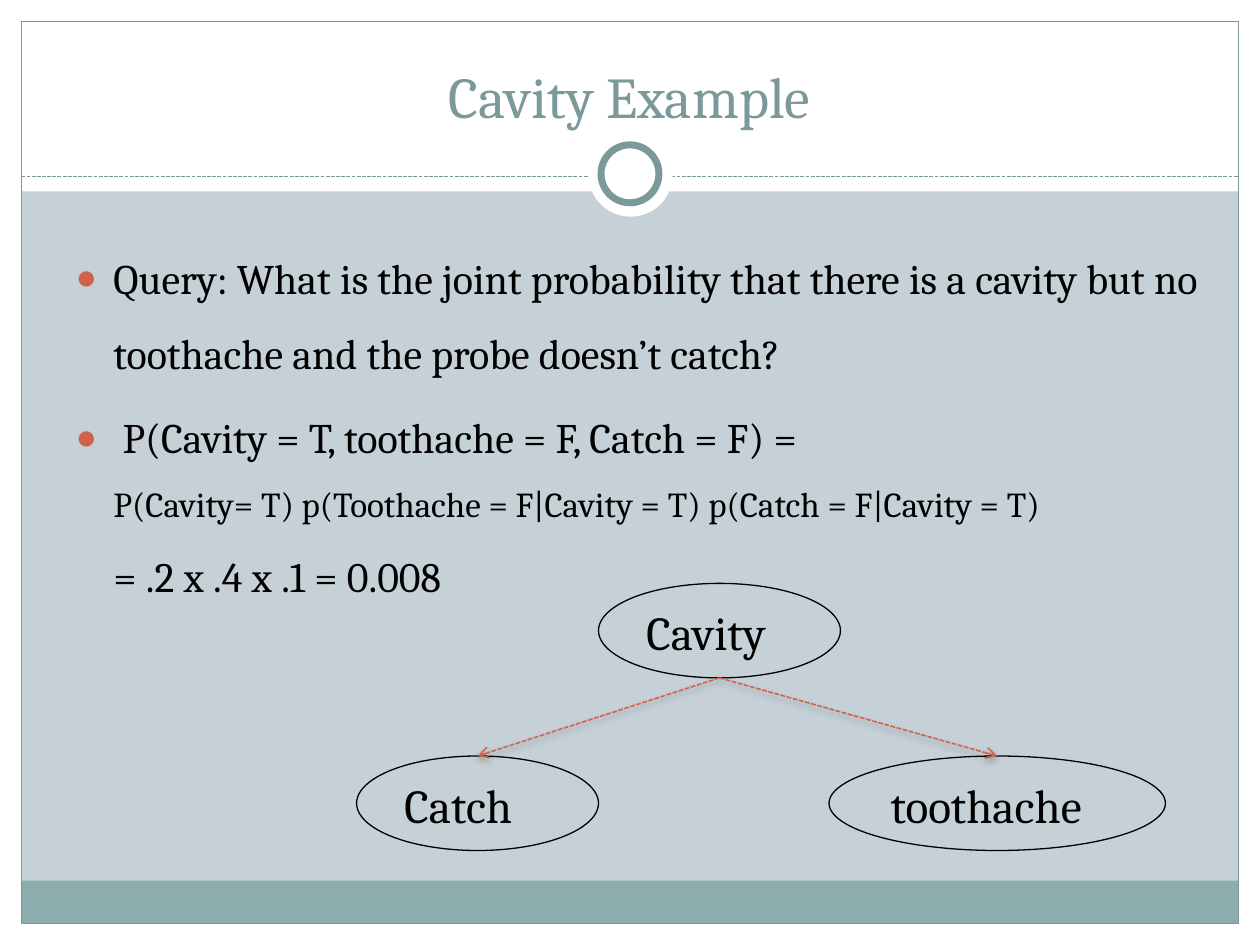
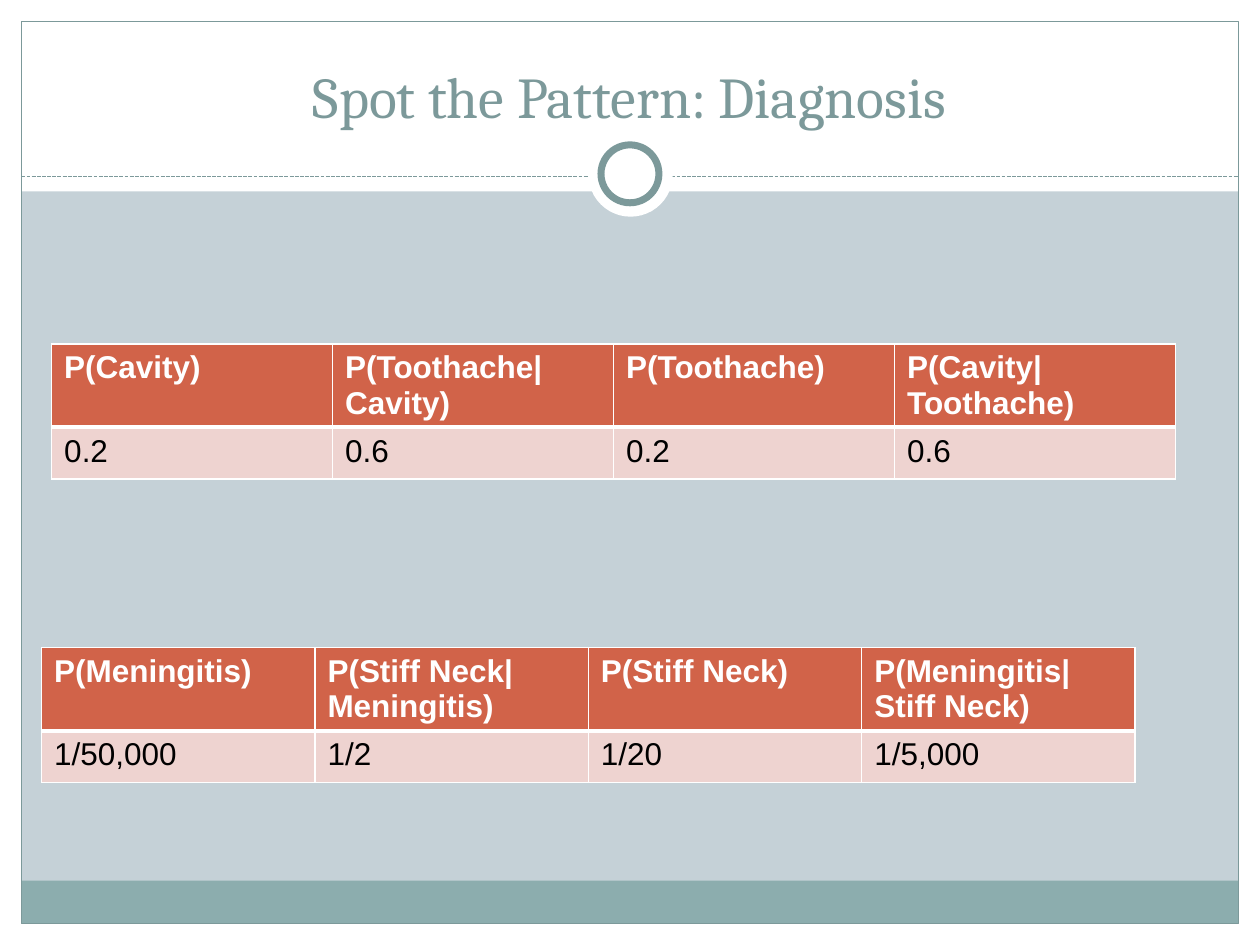
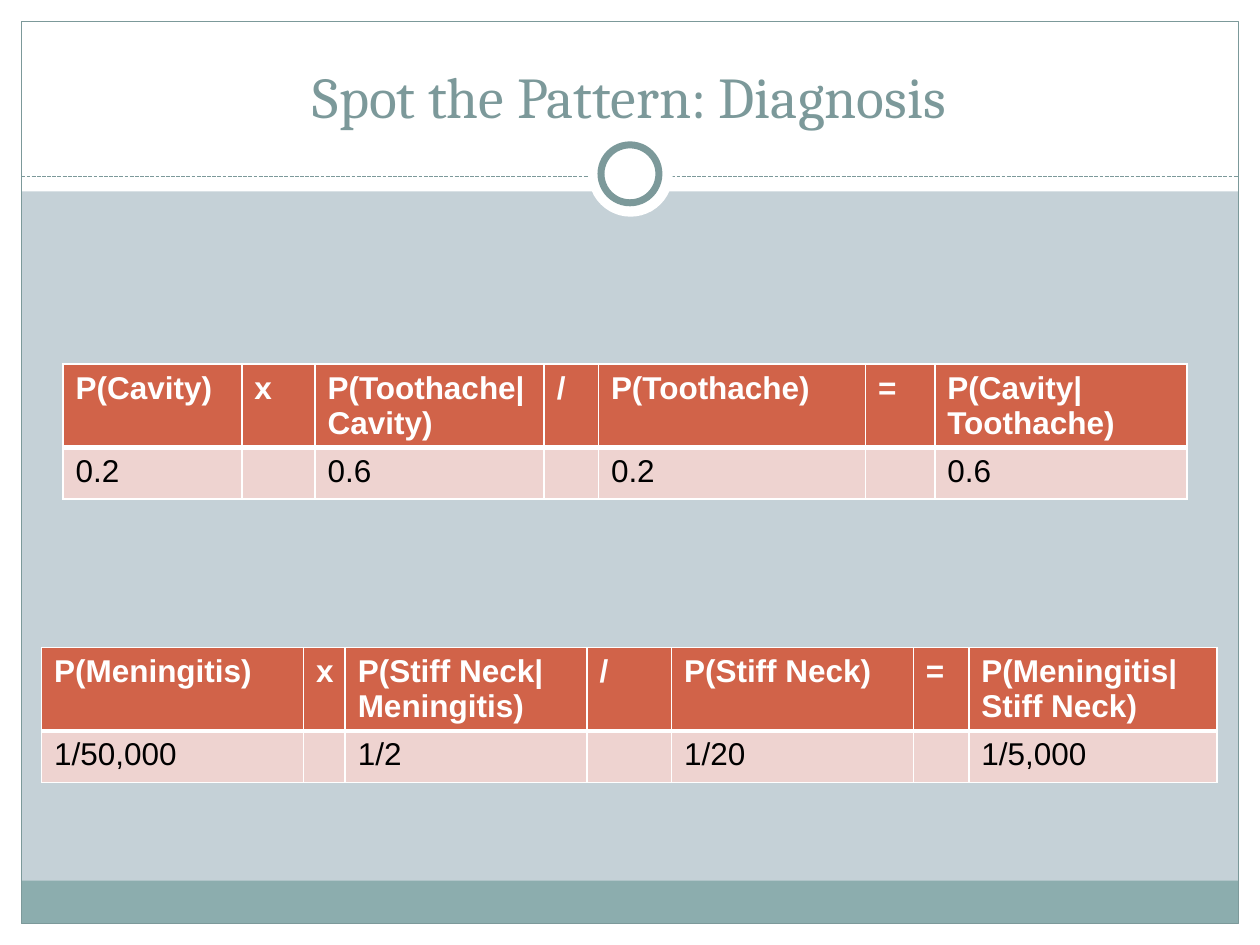
from copy import deepcopy
from dataclasses import dataclass

from lxml.etree import SubElement
from pptx import Presentation
from pptx.dml.color import RGBColor
from pptx.enum.dml import MSO_LINE
from pptx.enum.shapes import MSO_CONNECTOR, MSO_SHAPE
from pptx.enum.text import MSO_ANCHOR, MSO_AUTO_SIZE, PP_ALIGN
from pptx.oxml.ns import qn
from pptx.util import Inches, Pt


@dataclass(frozen=True)
class Theme:
    paper: str = "FFFFFF"
    ground: str = "C5D1D7"
    band: str = "8CADAE"
    teal: str = "7C999A"
    accent: str = "D16349"
    pale: str = "EED3D0"
    ink: str = "000000"
    serif: str = "Cambria"
    sans: str = "Arial"
    title: int = 33
    node: int = 27
    body: int = 24
    formula: int = 20
    cell: int = 18


theme = Theme()
WIDTH, HEIGHT = 10, 7.5
MARGIN = 0.17
INNER_W, INNER_H = WIDTH - 2 * MARGIN, HEIGHT - 2 * MARGIN


def write(paragraph, text, size, color=theme.ink, font=theme.serif, bold=False, align=PP_ALIGN.LEFT):
    run = paragraph.add_run()
    run.text = text
    run.font.size, run.font.name, run.font.bold = Pt(size), font, bold
    run.font.color.rgb = RGBColor.from_string(color)
    paragraph.alignment = align
    return run


def dashed_line(shapes, start, end, color, weight):
    """Draw a dashed connector and return it with its empty effect list."""
    line = shapes.add_connector(MSO_CONNECTOR.STRAIGHT, *map(Inches, (*start, *end)))
    line.line.color.rgb = RGBColor.from_string(color)
    line.line.width = Pt(weight)
    line.line.dash_style = MSO_LINE.SQUARE_DOT
    return line, SubElement(line.element.spPr, qn("a:effectLst"))


prs = Presentation()
prs.slide_width, prs.slide_height = Inches(WIDTH), Inches(HEIGHT)
master = prs.slide_master
master.background.fill.solid()
master.background.fill.fore_color.rgb = RGBColor.from_string(theme.ground)

# Title and body places, set on the master
for holder, place in zip(master.placeholders, [(0.33, 0.25, 9.33, 0.83), (0.5, 1.75, 9.25, 4.58)]):
    holder.left, holder.top, holder.width, holder.height = map(Inches, place)
    holder.text_frame.auto_size = MSO_AUTO_SIZE.NONE
title_holder, body_holder = list(master.placeholders)[:2]
title_holder.text_frame.vertical_anchor = MSO_ANCHOR.BOTTOM
body_holder.text_frame.vertical_anchor = MSO_ANCHOR.TOP

content_layout, title_layout = prs.slide_layouts[1], prs.slide_layouts[5]
slides = []
for heading, layout in [
    ("Cavity Example", content_layout),
    ("Spot the Pattern: Diagnosis", title_layout),
    ("Spot the Pattern: Diagnosis", title_layout),
]:
    slide = prs.slides.add_slide(layout)
    write(slide.shapes.title.text_frame.paragraphs[0], heading, theme.title, theme.teal, align=PP_ALIGN.CENTER)
    slides.append(slide)
cavity_slide, pattern_slide, formula_slide = slides

# Frame: drawn once, then moved to the master
RECT, OVAL = MSO_SHAPE.RECTANGLE, MSO_SHAPE.OVAL
frame = []
for outline, place, fill, weight in [
    (RECT, (0, HEIGHT - MARGIN, WIDTH, MARGIN), theme.paper, 0),
    (RECT, (0, 0, WIDTH, 1.52), theme.paper, 0),
    (RECT, (0, 0, MARGIN, HEIGHT), theme.paper, 0),
    (RECT, (WIDTH - MARGIN, 0, MARGIN, HEIGHT), theme.paper, 0),
    (RECT, (MARGIN, 6.99, INNER_W, 0.34), theme.band, 0),
    (RECT, (MARGIN, MARGIN, INNER_W, INNER_H), None, 0.75),
    (OVAL, (4.67, 1.05, 0.67, 0.67), theme.paper, 0),
    (OVAL, (4.77, 1.15, 0.46, 0.46), theme.paper, 4),
]:
    part = cavity_slide.shapes.add_shape(outline, *map(Inches, place))
    part.shadow.inherit = False
    if fill:
        part.fill.solid()
        part.fill.fore_color.rgb = RGBColor.from_string(fill)
    else:
        part.fill.background()
    if weight:
        part.line.color.rgb = RGBColor.from_string(theme.teal)
        part.line.width = Pt(weight)
    else:
        part.line.fill.background()
    frame.append(part)
header_rule, _ = dashed_line(cavity_slide.shapes, (MARGIN, 1.4), (WIDTH - MARGIN, 1.4), theme.teal, 0.75)
frame.insert(6, header_rule)
for number, part in enumerate(frame, 20):
    next(part.element.iter(qn("p:cNvPr"))).set("id", str(number))
    master.shapes.element.append(part.element)

# Cavity example: query and answer
query = [
    [("Query: What is the joint probability that there is a cavity but no toothache "
      "and the probe doesn’t catch?", theme.body)],
    [(" P(Cavity = T, toothache = F, Catch = F) = ", theme.body),
     ("P(Cavity= T) p(Toothache = F|Cavity = T) p(Catch = F|Cavity = T) ", theme.formula),
     ("= .2 x .4 x .1 = 0.008", theme.body)],
]
body = cavity_slide.placeholders[1].text_frame
for index, lines in enumerate(query):
    item = body.add_paragraph() if index else body.paragraphs[0]
    item.line_spacing = 1.5
    props = item._p.get_or_add_pPr()
    props.set("marL", str(Inches(0.3)))
    props.set("indent", str(Inches(-0.3)))
    SubElement(SubElement(props, qn("a:buClr")), qn("a:srgbClr"), val=theme.accent)
    SubElement(props, qn("a:buSzPct"), val="85000")
    SubElement(props, qn("a:buFont"), typeface=theme.sans)
    SubElement(props, qn("a:buChar"), char="●")
    for position, (text, size) in enumerate(lines, 1):
        run = write(item, text, size)
        if position < len(lines):
            item._p.add_br().append(deepcopy(run._r.get_or_add_rPr()))

# Cavity example: network
NODE_H = 0.75
nodes = {"Cavity": (4.75, 4.63, 1.92), "Catch": (2.83, 6, 1.92), "toothache": (6.58, 6, 2.67)}
for label, (left, top, width) in nodes.items():
    node = cavity_slide.shapes.add_shape(OVAL, *map(Inches, (left, top, width, NODE_H)))
    node.shadow.inherit = False
    node.fill.background()
    node.line.color.rgb = RGBColor.from_string(theme.ink)
    node.line.width = Pt(0.75)
    node.text_frame.vertical_anchor = MSO_ANCHOR.TOP
    write(node.text_frame.paragraphs[0], label, theme.node)

cause_left, cause_top, cause_width = nodes["Cavity"]
for effect in ("Catch", "toothache"):
    left, top, width = nodes[effect]
    arrow, effects = dashed_line(
        cavity_slide.shapes, (cause_left + cause_width / 2, cause_top + NODE_H),
        (left + width / 2, top), theme.accent, 0.9)
    SubElement(arrow.line._get_or_add_ln(), qn("a:tailEnd"), type="arrow")
    shadow = SubElement(effects, qn("a:outerShdw"), blurRad=str(Pt(4)), dist=str(Pt(2)),
                        dir="5400000", rotWithShape="0")
    shade = SubElement(shadow, qn("a:srgbClr"), val=theme.ink)
    SubElement(shade, qn("a:alpha"), val="35000")

# Probability tables, without and with the operators of Bayes' rule
cavity = [("P(Cavity)", "P(Toothache|Cavity)", "P(Toothache)", "P(Cavity|Toothache)"),
          ("0.2", "0.6", "0.2", "0.6")]
meningitis = [("P(Meningitis)", "P(Stiff Neck| Meningitis)", "P(Stiff Neck)", "P(Meningitis|Stiff Neck)"),
              ("1/50,000", "1/2", "1/20", "1/5,000")]
ROW_H = 0.41
for slide, rows, left, top, columns in [
    (pattern_slide, cavity, 0.41, 2.73, [2.23] * 4),
    (pattern_slide, meningitis, 0.33, 5.14, [2.17] * 4),
    (formula_slide, cavity, 0.5, 2.89, [1.42, 0.58, 1.82, 0.43, 2.12, 0.55, 2]),
    (formula_slide, meningitis, 0.33, 5.14, [2.08, 0.33, 1.92, 0.67, 1.92, 0.44, 1.97]),
]:
    grid = slide.shapes.add_table(
        2, len(columns), *map(Inches, (left, top, sum(columns), 2 * ROW_H))).table
    for column, width in zip(grid.columns, columns):
        column.width = Inches(width)
    for row, (values, operators) in enumerate(zip(rows, ["x/=", ["", "", ""]])):
        texts = list(values)
        if slide is formula_slide:
            for gap, operator in enumerate(operators):
                texts.insert(2 * gap + 1, operator)
        header = row == 0
        for column, text in enumerate(texts):
            cell = grid.cell(row, column)
            for side in "LRTB":
                thick = side == ("B" if header else "T")
                edge = SubElement(cell._tc.get_or_add_tcPr(), qn(f"a:ln{side}"), w=str(Pt(3 if thick else 1)))
                SubElement(SubElement(edge, qn("a:solidFill")), qn("a:srgbClr"), val=theme.paper)
            cell.fill.solid()
            cell.fill.fore_color.rgb = RGBColor.from_string(theme.accent if header else theme.pale)
            if text:
                write(cell.text_frame.paragraphs[0], text, theme.cell,
                      theme.paper if header else theme.ink, theme.sans, bold=header)

prs.save("out.pptx")
